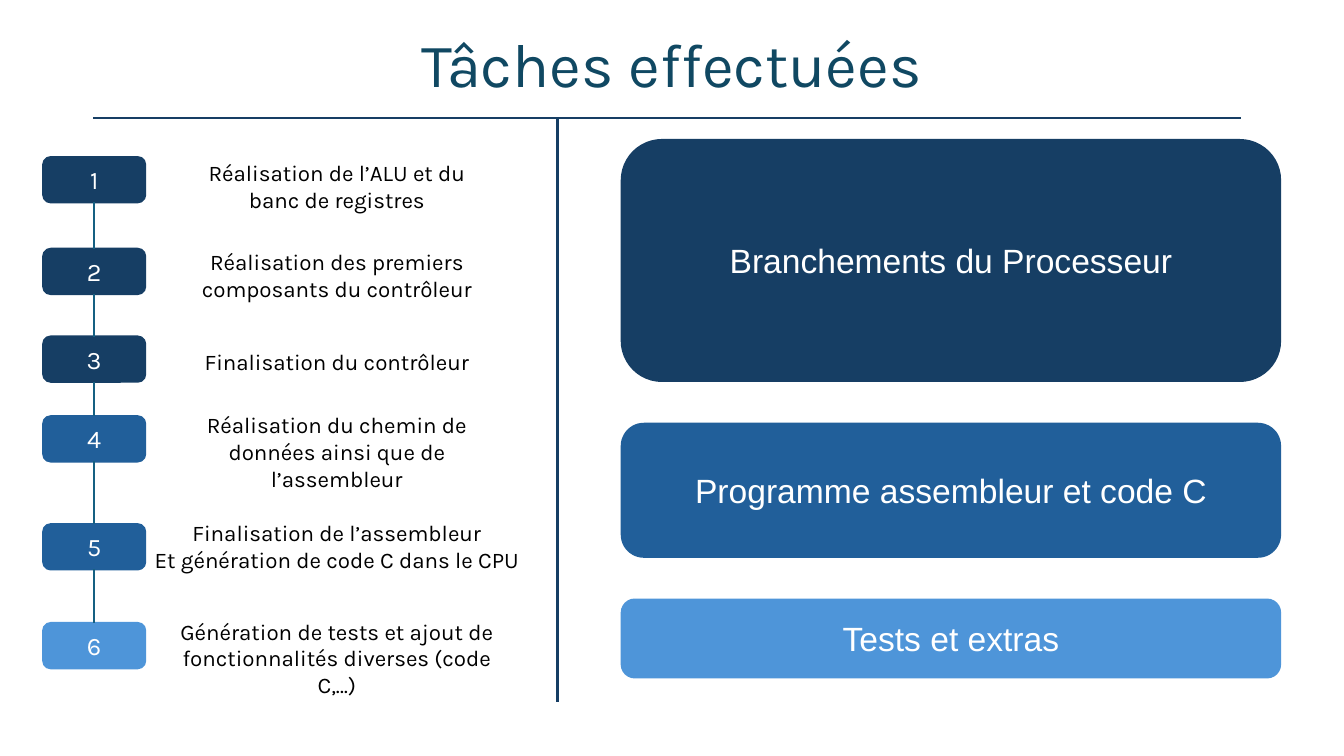
from pptx import Presentation
from pptx.dml.color import RGBColor
from pptx.enum.shapes import MSO_CONNECTOR, MSO_SHAPE
from pptx.enum.text import MSO_ANCHOR, PP_ALIGN
from pptx.oxml.ns import qn
from pptx.util import Cm, Pt
from lxml import etree

ROUNDED = MSO_SHAPE.ROUNDED_RECTANGLE
STRAIGHT = MSO_CONNECTOR.STRAIGHT
MIDDLE = MSO_ANCHOR.MIDDLE
CENTER = PP_ALIGN.CENTER
NAVY, BLUE, SKY = "163E64", "215F9A", "4E95D9"
TEAL, TITLE_COLOR, WHITE, BLACK = "156082", "104862", "FFFFFF", "000000"

presentation = Presentation()
presentation.slide_width = Cm(33.87)
presentation.slide_height = Cm(19.05)
slide = presentation.slides.add_slide(presentation.slide_layouts[6])


def style(item, color):
    """Give a connector or a filled shape its colour."""
    item.line.color.rgb = RGBColor.from_string(color)
    item.line.width = Pt(1.5)
    if hasattr(item, "fill"):
        item.fill.solid()
        item.fill.fore_color.rgb = RGBColor.from_string(color)
        item.shadow.inherit = False
    else:
        etree.SubElement(item._element.spPr, qn("a:effectLst"))


def write(shape, lines, size, font, color):
    """Write centred paragraphs into a shape."""
    frame = shape.text_frame
    frame.word_wrap = True
    for index, line in enumerate(lines):
        paragraph = frame.add_paragraph() if index else frame.paragraphs[0]
        paragraph.alignment = CENTER
        run = paragraph.add_run()
        run.text = line
        run.font.size = Pt(size)
        run.font.name = font
        run.font.color.rgb = RGBColor.from_string(color)


# Title
title = slide.shapes.add_textbox(Cm(2.33), Cm(-0.13), Cm(29.21), Cm(3.68))
title.text_frame.vertical_anchor = MIDDLE
write(title, ["Tâches effectuées"], 44, "Karla", TITLE_COLOR)
title.text_frame.paragraphs[0].line_spacing = 0.9

# Numbered steps: badge top, text top, text width, colour, lines
steps = [
    (3.96, 3.89, 7.47, NAVY, ["Réalisation de l’ALU et du banc de registres"]),
    (6.27, 6.12, 8.26, NAVY, ["Réalisation des premiers composants du contrôleur"]),
    (8.48, 8.64, 8.26, NAVY, ["Finalisation du contrôleur"]),
    (10.49, 10.24, 9.04, BLUE,
     ["Réalisation du chemin de données ainsi que de l’assembleur"]),
    (13.21, 12.95, 9.68, BLUE,
     ["Finalisation de l’assembleur", "Et génération de code C dans le CPU"]),
    (15.7, 15.44, 9.12, SKY,
     ["Génération de tests et ajout de fonctionnalités diverses (code C,…)"]),
]
text_center = 8.49
badges = []
for number, (badge_top, text_top, width, color, lines) in enumerate(steps, 1):
    badge = slide.shapes.add_shape(ROUNDED, Cm(1.09), Cm(badge_top), Cm(2.57), Cm(1.14))
    style(badge, color)
    badge.text_frame.vertical_anchor = MIDDLE
    write(badge, [str(number)], 18, "Karla", WHITE)
    badges.append(badge)

    description = slide.shapes.add_textbox(
        Cm(text_center - width / 2), Cm(text_top), Cm(width), Cm(1.63))
    write(description, lines, 16, "Karla", BLACK)

# Links between consecutive badges
for upper, lower in zip(badges, badges[1:]):
    link = slide.shapes.add_connector(STRAIGHT, 0, 0, 0, 0)
    link.begin_connect(upper, 2)
    link.end_connect(lower, 0)
    style(link, TEAL)

# Phase blocks, stacked with equal gaps
phases = [
    (6.07, NAVY, "Branchements du Processeur"),
    (3.35, BLUE, "Programme assembleur et code C"),
    (1.96, SKY, "Tests et extras"),
]
phase_top, phase_gap = 3.53, 1.08
for height, color, label in phases:
    phase = slide.shapes.add_shape(ROUNDED, Cm(15.67), Cm(phase_top), Cm(16.59), Cm(height))
    style(phase, color)
    phase.text_frame.vertical_anchor = MIDDLE
    write(phase, [label], 24, "Arial", WHITE)
    phase_top += height + phase_gap

# Vertical divider and title rule
for x1, y1, x2, y2 in [(14.05, 2.97, 14.05, 17.7), (31.27, 2.97, 2.34, 2.97)]:
    divider = slide.shapes.add_connector(STRAIGHT, Cm(x1), Cm(y1), Cm(x2), Cm(y2))
    style(divider, NAVY)

presentation.save("out.pptx")
